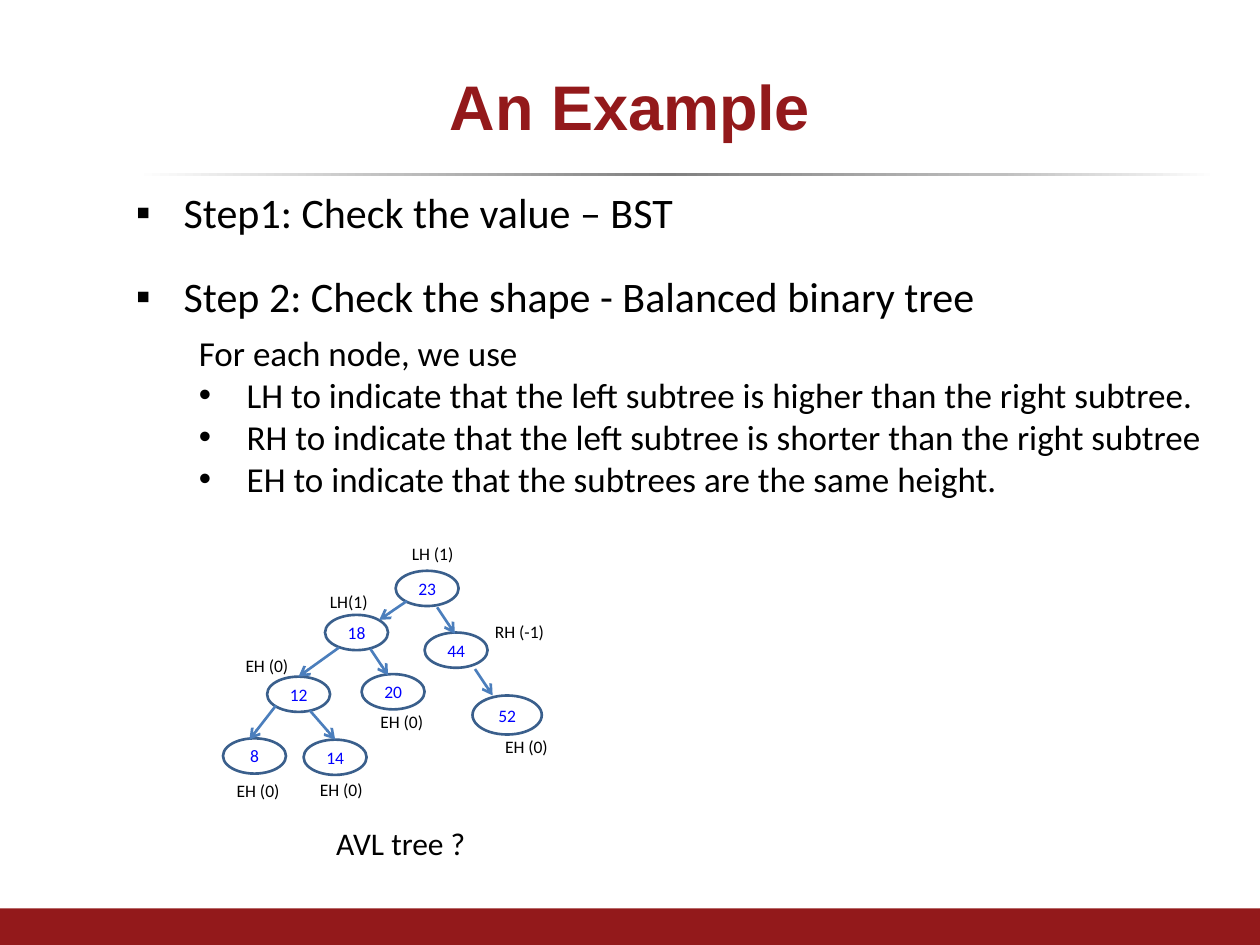
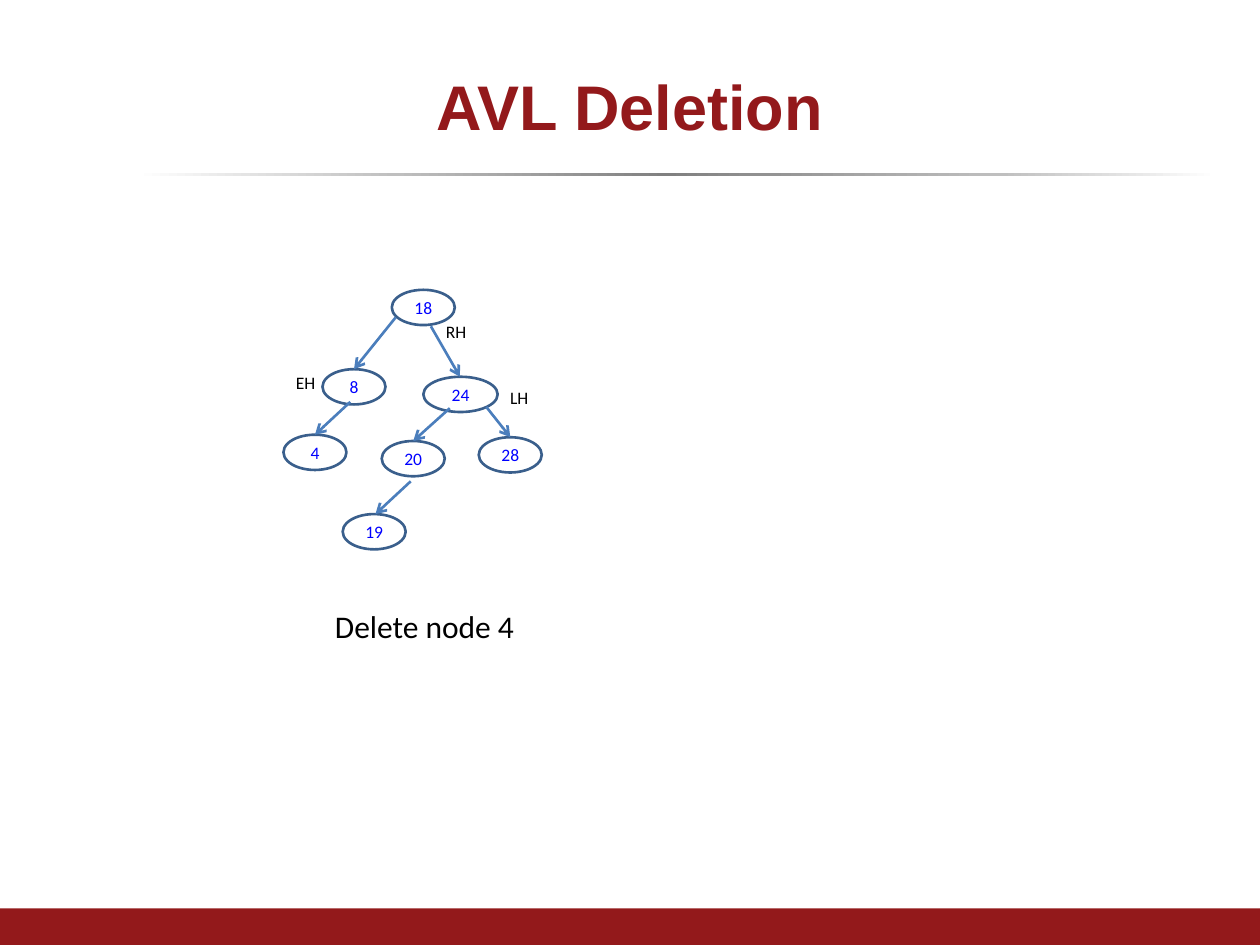
from lxml import etree
from pptx import Presentation
from pptx.dml.color import RGBColor
from pptx.enum.shapes import MSO_CONNECTOR, MSO_SHAPE
from pptx.enum.text import MSO_ANCHOR, MSO_AUTO_SIZE, PP_ALIGN
from pptx.oxml.ns import qn
from pptx.util import Inches, Pt

ELLIPSE, RECTANGLE = MSO_SHAPE.OVAL, MSO_SHAPE.RECTANGLE
STRAIGHT = MSO_CONNECTOR.STRAIGHT
MIDDLE, CENTER, LEFT = MSO_ANCHOR.MIDDLE, PP_ALIGN.CENTER, PP_ALIGN.LEFT
GROW, FIXED = MSO_AUTO_SIZE.SHAPE_TO_FIT_TEXT, MSO_AUTO_SIZE.NONE

THEME = {
    "white": RGBColor(0xFF, 0xFF, 0xFF),
    "band": RGBColor(0x93, 0x19, 0x1B),
    "outline": RGBColor(0x3A, 0x5F, 0x8C),
    "edge": RGBColor(0x4B, 0x7E, 0xBC),
    "rule": [(0, "FFFFFF"), (24, "BFBFBF"), (49, "808080"), (80, "BFBFBF"), (100, "FFFFFF")],
    "line": Pt(1.5),
    "title": {"name": "Arial", "size": Pt(36), "bold": True, "color": RGBColor(0x93, 0x19, 0x1B)},
    "node": {"name": "Calibri", "size": Pt(10), "color": RGBColor(0, 0, 0xFF)},
    "label": {"name": "Calibri", "size": Pt(10), "color": RGBColor(0, 0, 0)},
    "caption": {"name": "Calibri", "size": Pt(18), "color": RGBColor(0, 0, 0)},
    "step": {"name": "Calibri", "size": Pt(24), "color": RGBColor(0, 0, 0)},
    "detail": {"name": "Calibri", "size": Pt(20), "color": RGBColor(0, 0, 0)},
}
NODE_SIZE = (0.5, 0.28)

# Steps: text, style, left margin, hanging indent, bullet, space before in points
STEPS = [
    ("Step1: Check the value – BST", "step", 0.38, 0.38, "▪", 0),
    ("Step 2: Check the shape - Balanced binary tree", "step", 0.38, 0.38, "▪", 19.5),
    ("For each node, we use", "detail", 0.5, 0, None, 6),
    ("LH to indicate that the left subtree is higher than the right subtree.",
     "detail", 0.88, 0.38, "•", 0),
    ("RH to indicate that the left subtree is shorter than the right subtree",
     "detail", 0.88, 0.38, "•", 0),
    ("EH to indicate that the subtrees are the same height.", "detail", 0.88, 0.38, "•", 0),
]

# Trees: nodes (value, left, top, optional size), edges (from, to), labels (text, left, top)
SLIDES = [
    {
        "title": "An Example",
        "nodes": [
            ("8", 1.77, 5.86), ("12", 2.12, 5.37), ("14", 2.41, 5.87), ("18", 2.58, 4.88),
            ("20", 2.87, 5.35), ("23", 3.14, 4.53), ("44", 3.37, 5.02),
            ("52", 3.75, 5.52, 0.55, 0.31),
        ],
        "edges": [
            (2.19, 5.6, 1.98, 5.87), (2.46, 5.64, 2.66, 5.87), (2.69, 5.14, 2.37, 5.37),
            (2.94, 5.15, 3.08, 5.36), (3.47, 4.82, 3.61, 5.03), (3.77, 5.31, 3.91, 5.52),
            (3.23, 4.77, 3.01, 4.92),
        ],
        "labels": [
            ("LH (1)", 3.17, 4.26), ("LH(1)", 2.52, 4.64), ("EH (0)", 1.85, 5.15),
            ("EH (0)", 1.78, 6.14), ("EH (0)", 2.44, 6.13), ("EH (0)", 3.91, 5.79),
            ("EH (0)", 2.92, 5.59), ("RH (-1)", 3.83, 4.88),
        ],
        "label_width": 0.65,
        "caption": ("AVL tree ?", 2.57, 6.49),
        "steps": STEPS,
    },
    {
        "title": "AVL Deletion",
        "nodes": [
            ("20", 3.03, 3.5), ("24", 3.36, 2.99, 0.59, 0.28), ("18", 3.11, 2.3),
            ("8", 2.56, 2.93), ("28", 3.8, 3.47), ("4", 2.25, 3.45), ("19", 2.72, 4.08),
        ],
        "edges": [
            (3.57, 3.24, 3.28, 3.5), (3.42, 2.59, 3.65, 2.99), (3.14, 2.52, 2.81, 2.93),
            (3.86, 3.23, 4.05, 3.47), (2.78, 3.19, 2.5, 3.45), (3.26, 3.82, 2.98, 4.08),
        ],
        "labels": [("RH", 3.44, 2.5), ("LH", 3.95, 3.02), ("EH", 2.25, 2.9)],
        "label_width": 0.5,
        "caption": ("Delete node 4", 2.56, 4.77),
        "steps": [],
    },
]


def write(paragraph, text, style, alignment=LEFT):
    paragraph.text = text
    paragraph.alignment = alignment
    for name, value in THEME[style].items():
        if name == "color":
            paragraph.font.color.rgb = value
        else:
            setattr(paragraph.font, name, value)


def add_text_box(slide, left, top, width, height):
    box = slide.shapes.add_textbox(Inches(left), Inches(top), Inches(width), Inches(height))
    box.text_frame.word_wrap = True
    box.text_frame.auto_size = GROW
    return box.text_frame


presentation = Presentation()
presentation.slide_width = Inches(10)
presentation.slide_height = Inches(7.5)
title_only = presentation.slide_layouts[5]

for content in SLIDES:
    slide = presentation.slides.add_slide(title_only)
    slide.background.fill.solid()
    slide.background.fill.fore_color.rgb = THEME["white"]

    # Title rule and footer band
    rule = slide.shapes.add_shape(RECTANGLE, Inches(1.08), Inches(1.37), Inches(8.58), Inches(0.03))
    rule.fill.gradient()
    rule.fill.gradient_angle = 0
    stops = rule.element.spPr.find(qn("a:gradFill")).find(qn("a:gsLst"))
    for stop in list(stops):
        stops.remove(stop)
    for position, color in THEME["rule"]:
        stop = etree.SubElement(stops, qn("a:gs"), pos=str(position * 1000))
        etree.SubElement(stop, qn("a:srgbClr"), val=color)
    band = slide.shapes.add_shape(RECTANGLE, 0, Inches(7.21), Inches(10), Inches(0.29))
    band.fill.solid()
    band.fill.fore_color.rgb = THEME["band"]
    for shape in (rule, band):
        shape.shadow.inherit = False
        shape.line.fill.background()

    # Title
    title = slide.shapes.title
    title.left, title.top, title.width, title.height = map(Inches, (0.5, 0.3, 9, 1.07))
    title.text_frame.vertical_anchor = MIDDLE
    title.text_frame.auto_size = FIXED
    write(title.text_frame.paragraphs[0], content["title"], "title", CENTER)

    # Tree nodes
    for value, left, top, *size in content["nodes"]:
        width, height = size or NODE_SIZE
        node = slide.shapes.add_shape(
            ELLIPSE, Inches(left), Inches(top), Inches(width), Inches(height))
        node.shadow.inherit = False
        node.fill.background()
        node.line.color.rgb = THEME["outline"]
        node.line.width = THEME["line"]
        frame = node.text_frame
        frame.word_wrap = False
        frame.vertical_anchor = MIDDLE
        for side in ("left", "right", "top", "bottom"):
            setattr(frame, f"margin_{side}", 0)
        write(frame.paragraphs[0], value, "node", CENTER)

    # Tree edges
    for ends in content["edges"]:
        edge = slide.shapes.add_connector(STRAIGHT, *map(Inches, ends))
        edge.line.color.rgb = THEME["edge"]
        edge.line.width = THEME["line"]
        etree.SubElement(edge.line._get_or_add_ln(), qn("a:tailEnd"), type="arrow")
        etree.SubElement(edge.element.spPr, qn("a:effectLst"))

    # Balance labels and caption
    for text, left, top in content["labels"]:
        frame = add_text_box(slide, left, top, content["label_width"], 0.27)
        write(frame.paragraphs[0], text, "label")
    text, left, top = content["caption"]
    write(add_text_box(slide, left, top, 1.72, 0.4).paragraphs[0], text, "caption")

    # Explanation of the steps
    if content["steps"]:
        frame = add_text_box(slide, 0.98, 1.43, 8.87, 2.91)
        for index, (text, style, margin, hanging, bullet, space) in enumerate(content["steps"]):
            paragraph = frame.add_paragraph() if index else frame.paragraphs[0]
            properties = paragraph._p.get_or_add_pPr()
            properties.set("marL", str(Inches(margin)))
            properties.set("indent", str(-Inches(hanging)))
            if space:
                paragraph.space_before = Pt(space)
            if bullet:
                etree.SubElement(properties, qn("a:buFont"), typeface="Arial")
                etree.SubElement(properties, qn("a:buChar"), char=bullet)
            write(paragraph, text, style)

presentation.save("out.pptx")
